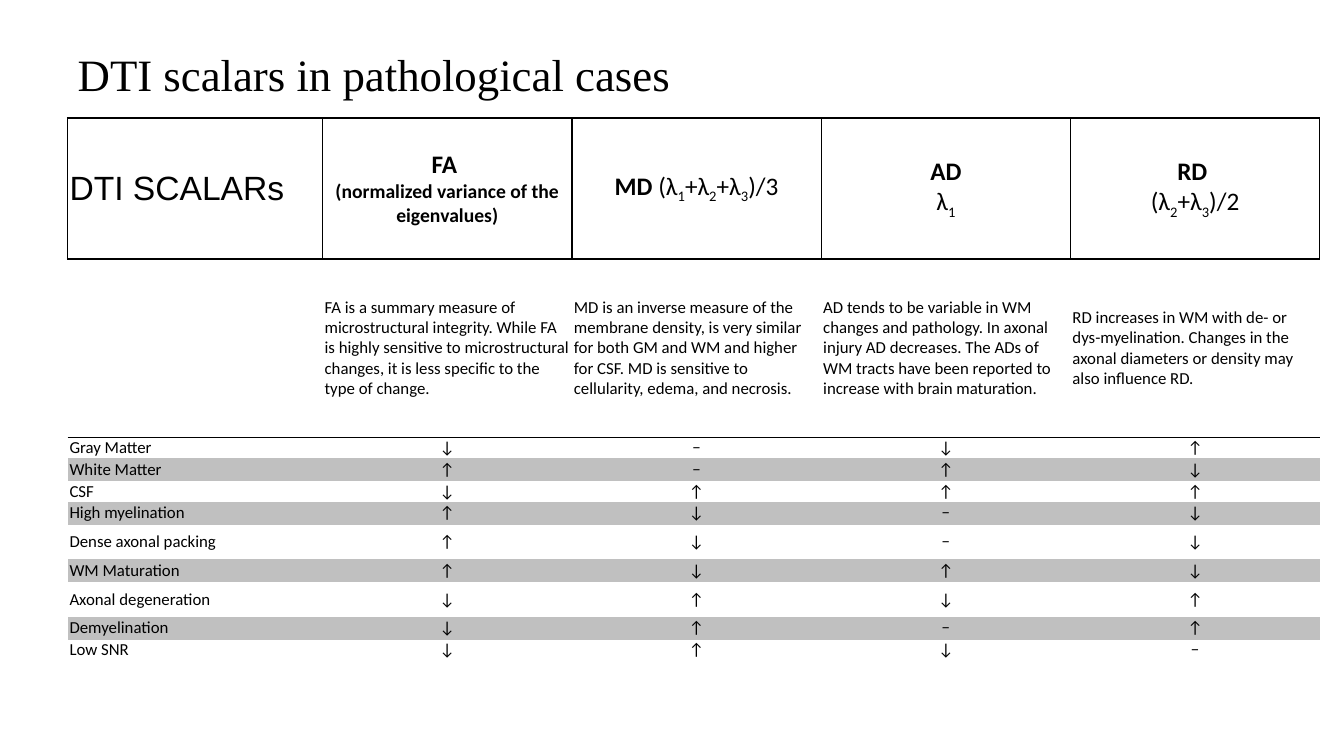
from dataclasses import dataclass

from lxml import etree
from pptx import Presentation
from pptx.dml.color import RGBColor
from pptx.enum import text as t
from pptx.oxml import ns
from pptx.util import Inches, Pt


@dataclass(frozen=True)
class Theme:
    ink: str = "000000"
    paper: str = "FFFFFF"
    band: str = "C0C0C0"
    serif: str = "Times New Roman"
    sans: str = "Arial"
    body: str = "Calibri"
    title: int = 32
    corner: int = 24
    head: int = 18
    note: int = 14
    text: int = 12


LOOK = Theme()
NO_GRID = "{2D5ABB26-0587-4C30-8999-92F81FD0307C}"
LEFT, MID = t.PP_ALIGN.LEFT, t.PP_ALIGN.CENTER

# Each heading is a list of lines, each line a list of (text, size, bold);
# an underscore lowers the character after it
HEADS = [
    [[("FA ", LOOK.head, True)],
     [("(normalized variance of the eigenvalues)", LOOK.note, True)]],
    [[("MD\u00a0", LOOK.head, True), ("(λ_1+λ_2+λ_3)/3", LOOK.head, False)]],
    [[("AD", LOOK.head, True)], [("λ_1", LOOK.head, False)]],
    [[("RD\u00a0", LOOK.head, True)], [("(λ_2+λ_3)/2", LOOK.head, False)]],
]
NOTES = [
    "FA is a summary measure of microstructural integrity. While FA is highly "
    "sensitive to microstructural changes, it is less specific to the type of change.",
    "MD is an inverse measure of the membrane density, is very similar for both GM "
    "and WM and higher for CSF. MD is sensitive to cellularity, edema, and necrosis.",
    "AD tends to be variable in WM changes and pathology. In axonal injury AD "
    "decreases. The ADs of WM tracts have been reported to increase with brain maturation.",
    "RD increases in WM with de- or dys-myelination. Changes in the axonal diameters "
    "or density may also influence RD.",
]
# Tissue or case, row height, change in FA, MD, AD and RD
CASES = [
    ("Gray Matter", 0.18, "↓−↓↑"),
    ("White Matter", 0.23, "↑−↑↓"),
    ("CSF", 0.18, "↓↑↑↑"),
    ("High myelination", 0.23, "↑↓−↓"),
    ("Dense axonal packing", 0.34, "↑↓−↓"),
    ("WM Maturation", 0.23, "↑↓↑↓"),
    ("Axonal degeneration", 0.34, "↓↑↓↑"),
    ("Demyelination", 0.23, "↓↑−↑"),
    ("Low SNR", 0.18, "↓↑↓−"),
]


def style(font, size, face=LOOK.body, bold=False):
    font.name, font.size, font.bold = face, Pt(size), bold
    font.color.rgb = RGBColor.from_string(LOOK.ink)


def add_run(para, words, size, bold, low=False):
    run = para.add_run()
    run.text = words
    style(run.font, size, bold=bold)
    if low:
        run.font._element.set("baseline", "-25000")


def add_part(para, words, size, bold):
    first, *rest = words.split("_")
    add_run(para, first, size, bold)
    for piece in rest:
        add_run(para, piece[0], size, bold, low=True)
        if piece[1:]:
            add_run(para, piece[1:], size, bold)


def set_cell(cell, fill=LOOK.paper):
    cell.margin_left = cell.margin_right = Inches(0.02)
    cell.margin_top = cell.margin_bottom = 0
    cell.vertical_anchor = t.MSO_ANCHOR.MIDDLE
    cell.fill.solid()
    cell.fill.fore_color.rgb = RGBColor.from_string(fill)


def set_text(cell, words, size=LOOK.text, face=LOOK.body, align=LEFT):
    para = cell.text_frame.paragraphs[0]
    para.text, para.alignment = words, align
    style(para.font, size, face)
    return para


def add_edges(cell, sides):
    props = cell._tc.get_or_add_tcPr()
    for spot, side in enumerate(sides):
        line = etree.Element(ns.qn(f"a:ln{side}"), w=str(Pt(1)))
        paint = etree.SubElement(line, ns.qn("a:solidFill"))
        etree.SubElement(paint, ns.qn("a:srgbClr"), val=LOOK.ink)
        props.insert(spot, line)


def add_title(slide, left, top, width, height):
    box = slide.shapes.title
    box.left, box.top = Inches(left), Inches(top)
    box.width, box.height = Inches(width), Inches(height)
    frame = box.text_frame
    frame.vertical_anchor = t.MSO_ANCHOR.MIDDLE
    frame.word_wrap = True
    para = frame.paragraphs[0]
    para.text, para.alignment = "DTI scalars in pathological cases", LEFT
    para.line_spacing = 0.9
    style(para.font, LOOK.title, LOOK.serif)


def fill_heads(table):
    set_text(table.cell(0, 0), "DTI SCALARs", LOOK.corner, LOOK.sans)
    for col, lines in enumerate(HEADS, 1):
        frame = table.cell(0, col).text_frame
        for spot, parts in enumerate(lines):
            para = frame.add_paragraph() if spot else frame.paragraphs[0]
            para.alignment = MID
            for part in parts:
                add_part(para, *part)


def add_grid(slide, left, top, width, height):
    tall = [1.4, 1.77] + [case[1] for case in CASES]
    cols = len(HEADS) + 1
    frame = slide.shapes.add_table(len(tall), cols, Inches(left), Inches(top),
                                   Inches(width), Inches(height))
    table = frame.table
    table.first_row = table.horz_banding = False
    table._tbl.tblPr.find(ns.qn("a:tableStyleId")).text = NO_GRID

    # Column widths and row heights
    first = 2.53
    for col, column in enumerate(table.columns):
        column.width = Inches((width - first) / (cols - 1) if col else first)
    for row, size in zip(table.rows, tall):
        row.height = Inches(size)

    # Fills: every second case is banded
    for num, row in enumerate(table.rows):
        for cell in row.cells:
            set_cell(cell, LOOK.band if num > 2 and num % 2 else LOOK.paper)

    # Headings with a frame, then the notes below
    fill_heads(table)
    for col in range(cols):
        add_edges(table.cell(0, col), "LRTB")
        add_edges(table.cell(1, col), "T")
    for col, note in enumerate(NOTES, 1):
        set_text(table.cell(1, col), note)

    # Cases
    for row, (name, _, signs) in enumerate(CASES, 2):
        set_text(table.cell(row, 0), name)
        for col, sign in enumerate(signs, 1):
            set_text(table.cell(row, col), sign, align=MID)


def main():
    deck = Presentation()
    deck.slide_width, deck.slide_height = Inches(13.33), Inches(7.5)
    slide = deck.slides.add_slide(deck.slide_layouts[5])
    add_title(slide, 0.67, 0.14, 8.5, 1.25)
    add_grid(slide, 0.67, 1.17, 12.42, 5.36)
    deck.save("out.pptx")


if __name__ == "__main__":
    main()
